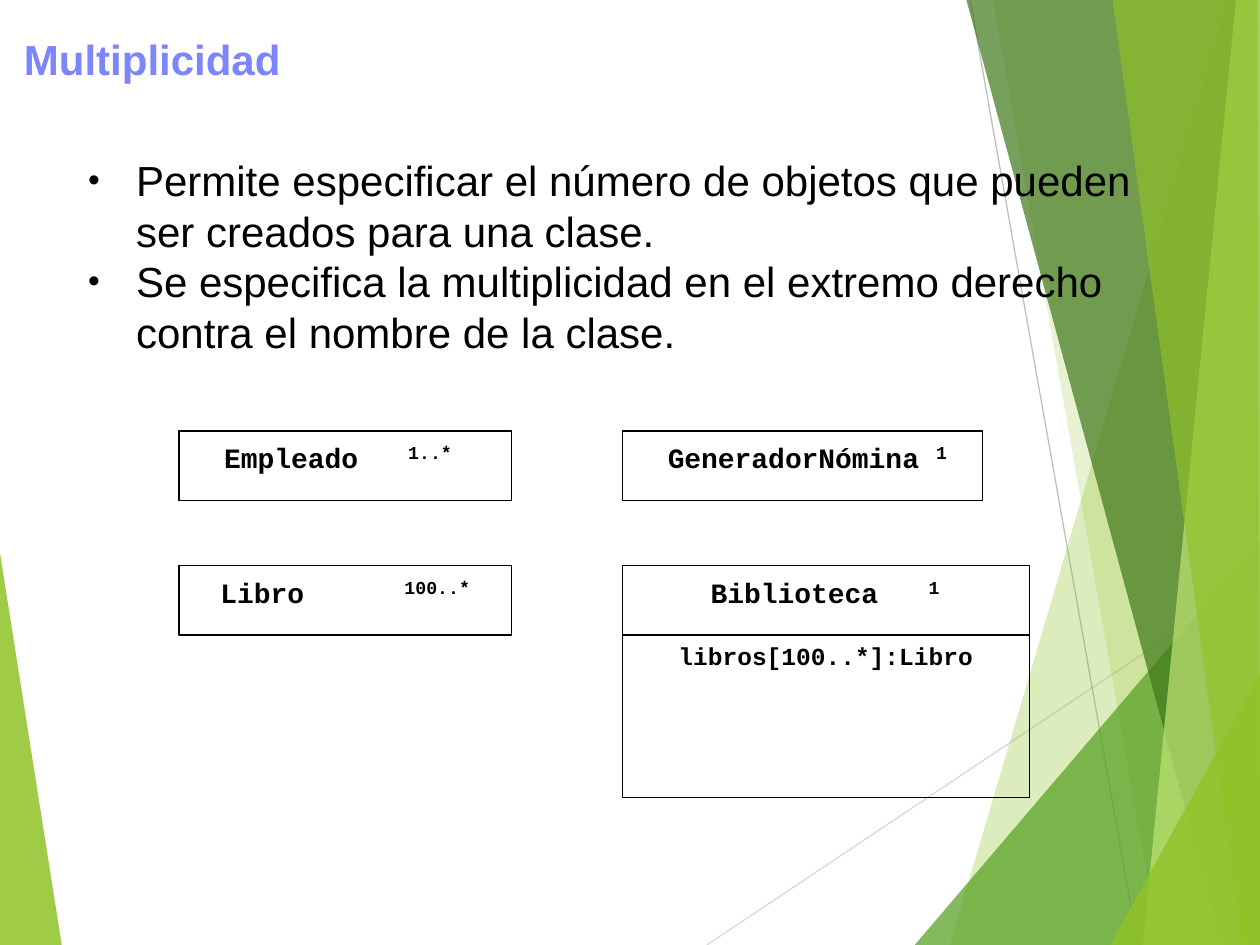
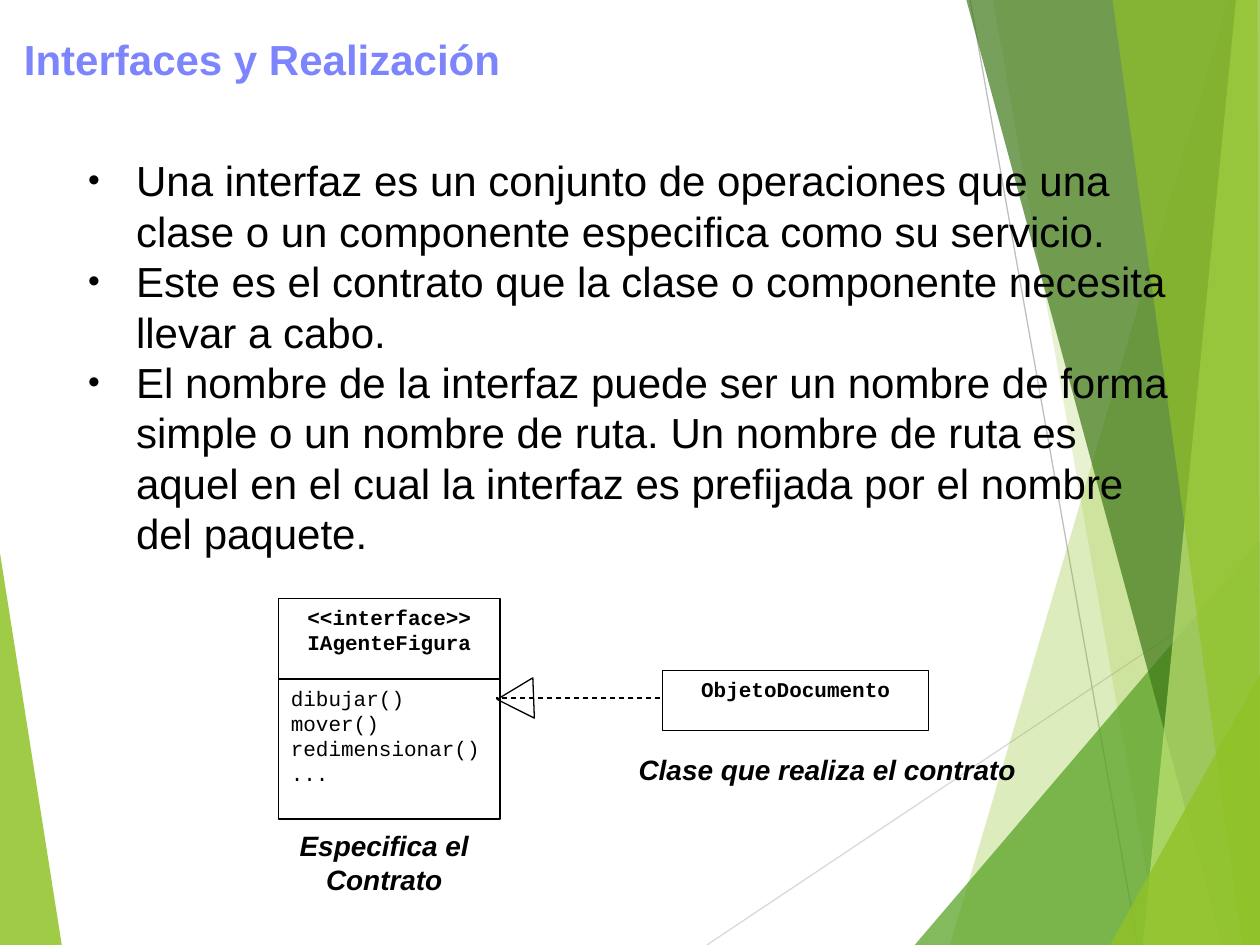
import pptx
import pptx.dml.color
import pptx.enum.dml
import pptx.enum.shapes
import pptx.enum.text
import pptx.oxml.ns
import pptx.util
from lxml import etree

Inches = pptx.util.Inches
Pt = pptx.util.Pt
qn = pptx.oxml.ns.qn
ALIGN = pptx.enum.text.PP_ALIGN
SHAPE = pptx.enum.shapes.MSO_SHAPE
STRAIGHT = pptx.enum.shapes.MSO_CONNECTOR.STRAIGHT
CODE = "Courier New"
BLACK = "000000"
TITLE_BLUE = "7C85FC"
LIME = "90C226"


def color(value):
    return pptx.dml.color.RGBColor.from_string(value)


def write(box, lines, size, face="Arial", bold=False, italic=False, align=ALIGN.LEFT, tint=BLACK):
    frame = box.text_frame
    for index, line in enumerate(lines):
        para = frame.add_paragraph() if index else frame.paragraphs[0]
        para.alignment = align
        para.space_before = Pt(0)
        span = para.add_run()
        span.text = line
        span.font.name = face
        span.font.size = Pt(size)
        span.font.bold = bold
        span.font.italic = italic
        span.font.color.rgb = color(tint)


deck = pptx.Presentation()
deck.slide_width = Inches(10)
deck.slide_height = Inches(7.5)
layout = deck.slide_layouts[1]
for placeholder in list(layout.placeholders)[2:]:
    layout.shapes.element.remove(placeholder.element)

contents = [
    ("Multiplicidad", [
        "Permite especificar el número de objetos que pueden ser creados para una clase.",
        "Se especifica la multiplicidad en el extremo derecho contra el nombre de la clase.",
    ]),
    ("Interfaces y Realización", [
        "Una interfaz es un conjunto de operaciones que una clase o un componente especifica como su servicio.",
        "Este es el contrato que la clase o componente necesita llevar a cabo.",
        "El nombre de la interfaz puede ser un nombre de forma simple o un nombre de ruta. "
        "Un nombre de ruta es aquel en el cual la interfaz es prefijada por el nombre del paquete.",
    ]),
]
pages = []
for heading, bullets in contents:
    page = deck.slides.add_slide(layout)
    pages.append(page)
    title, body = page.placeholders
    title.left, title.top, title.width, title.height = map(Inches, (0.09, 0.09, 9.8, 0.63))
    body.left, body.top, body.width, body.height = map(Inches, (0.6, 1.18, 8.8, 5.38))
    for box in (title, body):
        box.text_frame.auto_size = pptx.enum.text.MSO_AUTO_SIZE.NONE
        box.text_frame.word_wrap = True
    title.text_frame.vertical_anchor = pptx.enum.text.MSO_ANCHOR.BOTTOM
    write(title, [heading], 24, bold=True, tint=TITLE_BLUE)
    title.text_frame.paragraphs[0].line_spacing = 0.9
    write(body, bullets, 24)
    for para in body.text_frame.paragraphs:
        properties = para._p.get_or_add_pPr()
        properties.set("marL", str(Inches(0.38)))
        properties.set("indent", str(Inches(-0.38)))
        bullet_color = etree.SubElement(properties, qn("a:buClr"))
        etree.SubElement(bullet_color, qn("a:srgbClr"), val=BLACK)
        etree.SubElement(properties, qn("a:buSzPct"), val="80000")
        etree.SubElement(properties, qn("a:buChar"), char="•")

multiplicity, interfaces = pages

rays = [
    ((5.61, 7.5, 10, 4.57), "D9D9D9"),
    ((7.7, 0, 9.03, 7.5), "BFBFBF"),
]
facets = [
    ([(0, 4.39), (0.49, 7.5), (0, 7.5)], LIME, 85),
    ([(9.75, 0), (7.54, 7.5), (10, 7.5), (10, 0)], LIME, 30),
    ([(7.88, 0), (9.2, 7.5), (10, 7.5), (10, 0)], LIME, 20),
    ([(7.26, 7.5), (10, 4.29), (10, 7.5)], "54A021", 72),
    ([(7.67, 0), (9.7, 7.5), (10, 7.5), (10, 0)], "3F7819", 70),
    ([(9.81, 0), (9.07, 7.5), (10, 7.5), (10, 0)], "C0E474", 70),
    ([(8.83, 0), (9.86, 7.5), (10, 7.5), (9.98, 0)], LIME, 65),
    ([(8.81, 7.5), (10, 5.35), (10, 7.5)], LIME, 80),
]
for ends, tint in rays:
    ray = multiplicity.shapes.add_connector(STRAIGHT, *map(Inches, ends))
    ray.line.color.rgb = color(tint)
    ray.line.width = Pt(0.75)
    layout.shapes.element.append(ray.element)
for corners, tint, opacity in facets:
    points = [(Inches(x), Inches(y)) for x, y in corners]
    builder = multiplicity.shapes.build_freeform(*points[0])
    builder.add_line_segments(points[1:], close=True)
    facet = builder.convert_to_shape()
    facet.shadow.inherit = False
    facet.fill.solid()
    facet.fill.fore_color.rgb = color(tint)
    facet.line.fill.background()
    fill_color = facet.element.spPr.find(".//" + qn("a:srgbClr"))
    etree.SubElement(fill_color, qn("a:alpha"), val=str(opacity * 1000))
    layout.shapes.element.append(facet.element)

class_boxes = [
    (multiplicity, (1.42, 3.42, 2.64, 0.55), ["Empleado"], 16, True, ALIGN.LEFT, (0.36, 1.46, "1..*")),
    (multiplicity, (4.94, 3.42, 2.86, 0.55), ["GeneradorNómina"], 16, True, ALIGN.LEFT, (0.36, 2.13, "1")),
    (multiplicity, (1.42, 4.49, 2.64, 0.55), ["Libro"], 16, True, ALIGN.LEFT, (0.33, 1.46, "100..*")),
    (multiplicity, (4.94, 4.49, 3.23, 0.55), ["Biblioteca"], 16, True, ALIGN.LEFT, (0.7, 1.73, "1")),
    (multiplicity, (4.94, 5.04, 3.23, 1.29), ["libros[100..*]:Libro"], 14, True, ALIGN.CENTER, None),
    (interfaces, (2.21, 4.75, 1.76, 0.64), ["<<interface>>", "IAgenteFigura"], 12, True, ALIGN.CENTER, None),
    (interfaces, (2.21, 5.39, 1.76, 1.11), ["dibujar()", "mover()", "redimensionar()", "..."],
     12, False, ALIGN.LEFT, None),
    (interfaces, (5.26, 5.32, 2.11, 0.48), ["ObjetoDocumento"], 12, True, ALIGN.CENTER, None),
]
outlined = []
for page, place, lines, size, bold, align, count in class_boxes:
    class_box = page.shapes.add_shape(SHAPE.RECTANGLE, *map(Inches, place))
    outlined.append(class_box)
    class_box.text_frame.vertical_anchor = pptx.enum.text.MSO_ANCHOR.TOP
    class_box.text_frame.word_wrap = True
    write(class_box, lines, size, CODE, bold, align=align)
    if count:
        name_start, tab_stop, amount = count
        class_box.text_frame.margin_left = Inches(name_start)
        para = class_box.text_frame.paragraphs[0]
        tabs = etree.SubElement(para._p.get_or_add_pPr(), qn("a:tabLst"))
        etree.SubElement(tabs, qn("a:tab"), pos=str(Inches(tab_stop)), algn="l")
        span = para.add_run()
        span.text = "\t" + amount
        span.font.name = CODE
        span.font.size = Pt(18)
        span.font.bold = True
        span.font.color.rgb = color(BLACK)
        span._r.get_or_add_rPr().set("baseline", "30000")

realization = interfaces.shapes.add_connector(STRAIGHT, *map(Inches, (5.24, 5.54, 3.94, 5.54)))
realization.line.color.rgb = color(BLACK)
realization.line.width = Pt(0.75)
realization.line.dash_style = pptx.enum.dml.MSO_LINE.DASH

arrowhead = interfaces.shapes.add_shape(SHAPE.ISOSCELES_TRIANGLE, *map(Inches, (3.93, 5.4, 0.32, 0.29)))
arrowhead.rotation = 267.8
outlined.append(arrowhead)
for shape in outlined:
    shape.shadow.inherit = False
    shape.fill.background()
    shape.line.color.rgb = color(BLACK)
    shape.line.width = Pt(0.75)

captions = [
    ((4.97, 5.92, 3.19, 0.37), ["Clase que realiza el contrato"], ALIGN.LEFT),
    ((2.25, 6.53, 1.6, 0.64), ["Especifica el ", "Contrato"], ALIGN.CENTER),
]
for place, lines, align in captions:
    caption = interfaces.shapes.add_textbox(*map(Inches, place))
    caption.text_frame.word_wrap = False
    write(caption, lines, 16, bold=True, italic=True, align=align)

for holder in (layout, interfaces):
    for line in holder.shapes.element.iter(qn("p:cxnSp")):
        etree.SubElement(line.spPr, qn("a:effectLst"))

deck.save("out.pptx")
